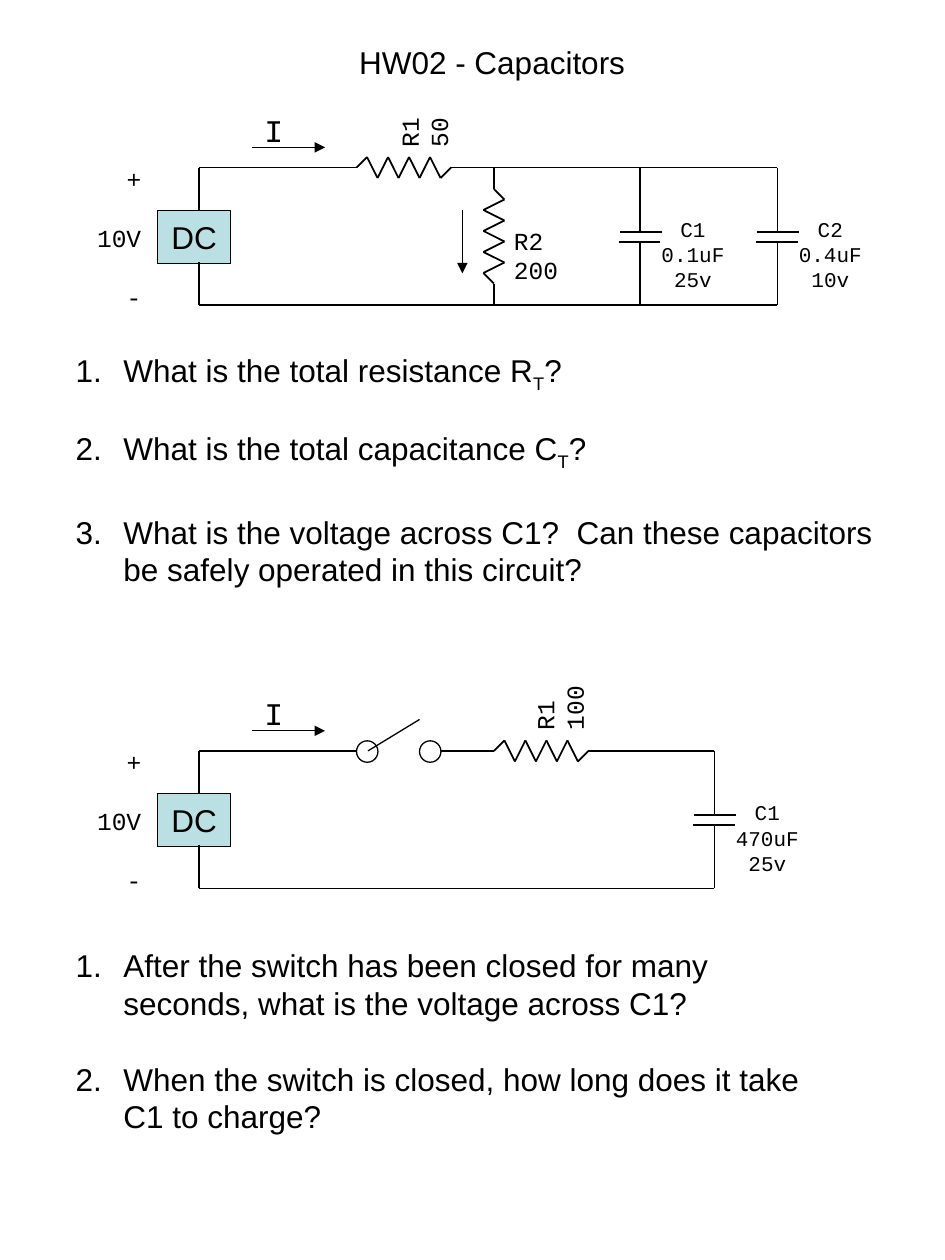
from lxml import etree
from pptx import Presentation
from pptx.dml.color import RGBColor
from pptx.enum.shapes import MSO_CONNECTOR, MSO_SHAPE
from pptx.enum.text import MSO_ANCHOR, MSO_AUTO_SIZE, PP_ALIGN
from pptx.oxml.ns import qn
from pptx.util import Inches, Pt

STRAIGHT = MSO_CONNECTOR.STRAIGHT
RECTANGLE, OVAL = MSO_SHAPE.RECTANGLE, MSO_SHAPE.OVAL
LEFT, CENTER, RIGHT = PP_ALIGN.LEFT, PP_ALIGN.CENTER, PP_ALIGN.RIGHT
TOP, MIDDLE = MSO_ANCHOR.TOP, MSO_ANCHOR.MIDDLE
NO_AUTOFIT = MSO_AUTO_SIZE.NONE
BLACK = RGBColor(0x00, 0x00, 0x00)
WHITE = RGBColor(0xFF, 0xFF, 0xFF)
SOURCE_BLUE = RGBColor(0xBB, 0xE0, 0xE3)
SANS, MONO = "Arial", "Courier New"


def write_text(shape, text, size=18, font=SANS, align=LEFT, anchor=TOP,
               wrap=False, gap=0, numbered=False, margin_top=0.05):
    frame = shape.text_frame
    frame.auto_size = NO_AUTOFIT
    frame.word_wrap = wrap
    frame.vertical_anchor = anchor
    frame.margin_top = Inches(margin_top)
    for number, line in enumerate(text.split("\n")):
        paragraph = frame.add_paragraph() if number else frame.paragraphs[0]
        if numbered:
            properties = paragraph._p.get_or_add_pPr()
            properties.set("marL", str(Inches(0.38)))
            properties.set("indent", str(Inches(-0.38)))
            etree.SubElement(properties, qn("a:buAutoNum"), type="arabicPeriod")
        paragraph.alignment = align
        paragraph.line_spacing = Pt(1.2 * size)
        paragraph.space_before = Pt(gap if number else 0)
        for position, piece in enumerate(line.split("~")):
            run = paragraph.add_run()
            run.text = piece
            run.font.size = Pt(size)
            run.font.name = font
            run.font.color.rgb = BLACK
            if position % 2:
                run._r.get_or_add_rPr().set("baseline", "-25000")


def add_line(shapes, start, end, width=0.75, arrow=False):
    line = shapes.add_connector(STRAIGHT, *map(Inches, start + end))
    line.line.color.rgb = BLACK
    line.line.width = Pt(width)
    etree.SubElement(line._element.spPr, qn("a:effectLst"))
    if arrow:
        etree.SubElement(line.line._get_or_add_ln(), qn("a:tailEnd"), type="triangle")


presentation = Presentation()
presentation.slide_width = Inches(7.5)
presentation.slide_height = Inches(10)
slide = presentation.slides.add_slide(presentation.slide_layouts[3])
shapes = slide.shapes
title, first_questions, second_questions = slide.placeholders

for placeholder, box in (
    (title, (2.75, 0.29, 2.5, 0.4)),
    (first_questions, (0.5, 2.75, 6.58, 1.98)),
    (second_questions, (0.5, 7.46, 6.25, 1.9)),
):
    placeholder.left, placeholder.top, placeholder.width, placeholder.height = map(Inches, box)

write_text(title, "HW02 - Capacitors")
write_text(
    first_questions,
    "What is the total resistance R~T~?\n"
    "What is the total capacitance C~T~?\n"
    "What is the voltage across C1?  Can these capacitors be safely operated in this circuit?",
    wrap=True, gap=23, numbered=True, margin_top=0.08)
write_text(
    second_questions,
    "After the switch has been closed for many seconds, what is the voltage across C1?\n"
    "When the switch is closed, how long does it take C1 to charge?",
    wrap=True, gap=21.6, numbered=True)

FIRST_TOP, SECOND_TOP = 1.33, 5.96
WIRE_LEFT = 1.58
DROP = 1.09
for top, right in ((FIRST_TOP, 6.17), (SECOND_TOP, 5.67)):
    source = shapes.add_shape(RECTANGLE, Inches(1.25), Inches(top + 0.34), Inches(0.58), Inches(0.42))
    source.shadow.inherit = False
    source.fill.solid()
    source.fill.fore_color.rgb = SOURCE_BLUE
    source.line.color.rgb = BLACK
    source.line.width = Pt(0.75)
    write_text(source, "DC", align=CENTER, anchor=MIDDLE)

    add_line(shapes, (WIRE_LEFT, top + 0.34), (WIRE_LEFT, top))
    add_line(shapes, (WIRE_LEFT, top), (2.83, top))
    add_line(shapes, (WIRE_LEFT, top + DROP), (WIRE_LEFT, top + 0.75))
    add_line(shapes, (WIRE_LEFT, top + DROP), (right, top + DROP))

    polarity = shapes.add_textbox(Inches(0.67), Inches(top - 0.08), Inches(0.55), Inches(1.27))
    write_text(polarity, "+\n10V\n-", size=14, font=MONO, align=RIGHT, gap=17)
    add_line(shapes, (2, top - 0.16), (2.58, top - 0.16), arrow=True)
    current = shapes.add_textbox(Inches(2), Inches(top - 0.5), Inches(0.35), Inches(0.4))
    write_text(current, "I", font=MONO)

add_line(shapes, (3.58, FIRST_TOP), (6.17, FIRST_TOP))
add_line(shapes, (3.92, FIRST_TOP), (3.92, 1.5))
add_line(shapes, (3.92, 2.25), (3.92, FIRST_TOP + DROP))
add_line(shapes, (3.67, 1.67), (3.67, 2.17), arrow=True)
add_line(shapes, (3.5, SECOND_TOP), (3.92, SECOND_TOP))
add_line(shapes, (4.67, SECOND_TOP), (5.67, SECOND_TOP))

for left in (2.83, 3.33):
    contact = shapes.add_shape(OVAL, Inches(left), Inches(5.88), Inches(0.17), Inches(0.17))
    contact.shadow.inherit = False
    contact.fill.solid()
    contact.fill.fore_color.rgb = WHITE
    contact.line.color.rgb = BLACK
    contact.line.width = Pt(0.75)
add_line(shapes, (2.92, SECOND_TOP), (3.33, 5.71))

STEP = 0.25 / 3
for x, y, vertical, label, label_box in (
    (2.83, FIRST_TOP, False, "R1\n50", (3.06, 0.68, 0.44, 0.74)),
    (3.92, 1.5, True, "R2\n200", (3.98, 1.57, 0.55, 0.74)),
    (3.92, SECOND_TOP, False, "R1\n100", (4.08, 5.25, 0.55, 0.74)),
):
    resistor = shapes.add_group_shape()
    points = []
    for index in range(10):
        swing = 0 if index in (0, 9) else STEP * (-1) ** index
        along = index * STEP
        points.append((x - swing, y + along) if vertical else (x + along, y + swing))
    for start, end in zip(points, points[1:]):
        add_line(resistor.shapes, start, end, width=1)
    resistor_label = resistor.shapes.add_textbox(*map(Inches, label_box))
    resistor_label.rotation = 0 if vertical else 270
    write_text(resistor_label, label, size=14, font=MONO, margin_top=0.22)

for x, top, label in (
    (5.08, FIRST_TOP, "C1\n0.1uF\n25v"),
    (6.17, FIRST_TOP, "C2\n0.4uF\n10v"),
    (5.67, SECOND_TOP, "C1\n470uF\n25v"),
):
    add_line(shapes, (x, top), (x, top + 0.34))
    add_line(shapes, (x, top + 0.75), (x, top + DROP))
    capacitor = shapes.add_group_shape()
    add_line(capacitor.shapes, (x - 0.16, top + 0.51), (x + 0.17, top + 0.51), width=1)
    add_line(capacitor.shapes, (x - 0.17, top + 0.59), (x + 0.16, top + 0.59), width=1)
    add_line(capacitor.shapes, (x, top + 0.34), (x, top + 0.5), width=1)
    add_line(capacitor.shapes, (x, top + 0.59), (x, top + 0.75), width=1)
    capacitor_label = capacitor.shapes.add_textbox(
        Inches(x + 0.07), Inches(top + 0.34), Inches(0.7), Inches(0.7))
    write_text(capacitor_label, label, size=12, font=MONO, align=CENTER)

presentation.save("out.pptx")
